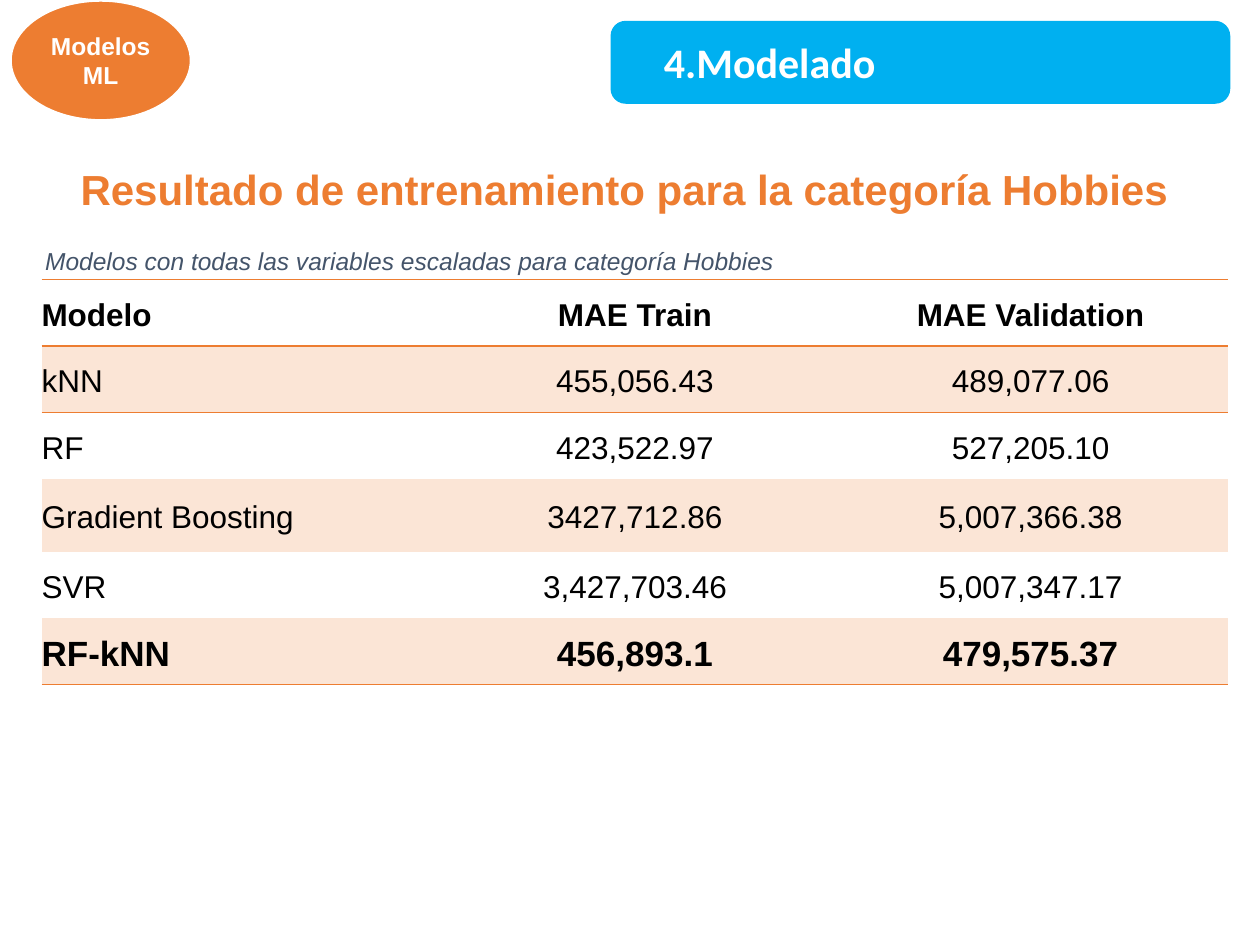
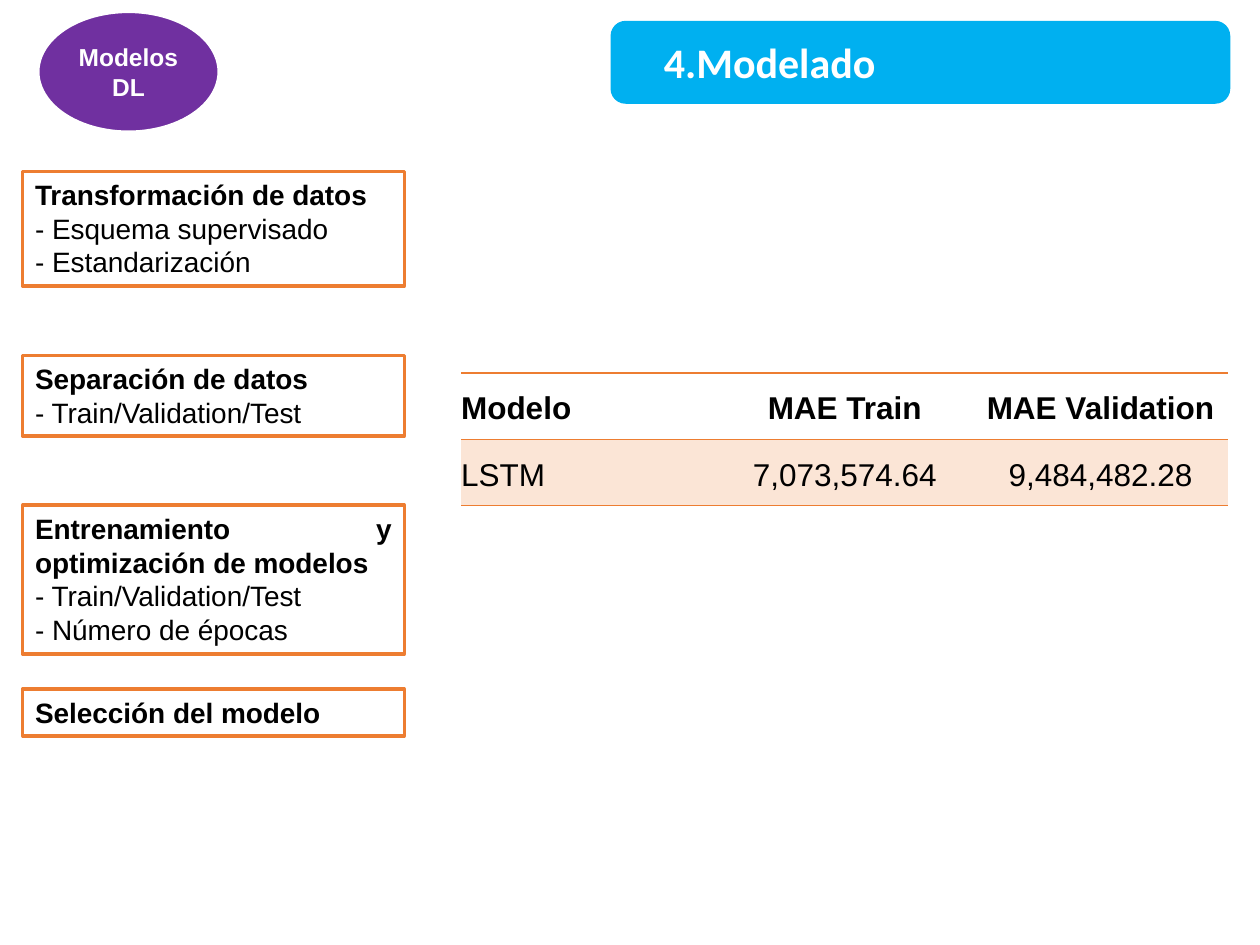
from lxml import etree
from pptx import Presentation
from pptx.dml.color import RGBColor
from pptx.enum.shapes import MSO_SHAPE
from pptx.enum.text import MSO_ANCHOR, PP_ALIGN
from pptx.oxml.ns import qn
from pptx.util import Inches, Pt

OVAL, RECT, ROUNDED = MSO_SHAPE.OVAL, MSO_SHAPE.RECTANGLE, MSO_SHAPE.ROUNDED_RECTANGLE
TOP, MIDDLE = MSO_ANCHOR.TOP, MSO_ANCHOR.MIDDLE
LEFT, CENTER, JUSTIFY = PP_ALIGN.LEFT, PP_ALIGN.CENTER, PP_ALIGN.JUSTIFY

COLORS = {
    "orange": "ED7D31", "peach": "FBE5D6", "purple": "7030A0", "blue": "00B0F0",
    "slate": "44546A", "white": "FFFFFF", "black": "000000",
}
# The slide is a grid of 100 columns by 75 rows
COLUMNS, ROWS, CELL = 100, 75, 0.1
PLAIN_TABLE_STYLE = "{2D5ABB26-0587-4C30-8999-92F81FD0307C}"
HEADERS = ["Modelo", "MAE Train", "MAE Validation"]
TABLE_RIGHT = 97.5

STEPS_LEFT, STEPS_TOP, STEPS_WIDTH = 1.8, 13.6, 30.3
STEP_LINE, STEP_PADDING = 2.7, 1
# Heading, detail lines, number of text lines, gap below in rows
STEPS = [
    ("Transformación de datos", ["- Esquema supervisado", "- Estandarización"], 3, 5.5),
    ("Separación de datos", ["- Train/Validation/Test"], 2, 5.5),
    ("Entrenamiento y optimización de modelos",
     ["- Train/Validation/Test", "- Número de épocas"], 4, 2.8),
    ("Selección del modelo", [], 1, 0),
]


def grid(*cells):
    return [Inches(cell * CELL) for cell in cells]


def color(name):
    return RGBColor.from_string(COLORS[name])


def style(size, tint="black", name="Arial", **extras):
    return {"size": Pt(size), "name": name, "tint": tint, **extras}


def write(frame, lines, align=LEFT, **spacing):
    """Write (text, style) pairs, one paragraph each."""
    for index, (text, look) in enumerate(lines):
        para = frame.add_paragraph() if index else frame.paragraphs[0]
        para.alignment = align
        for key, value in spacing.items():
            setattr(para, key, value)
        span = para.add_run()
        span.text = text
        for key, value in look.items():
            if key == "tint":
                span.font.color.rgb = color(value)
            else:
                setattr(span.font, key, value)


def add_text(page, area, text, look, **layout):
    frame = page.shapes.add_textbox(*grid(*area)).text_frame
    frame.word_wrap = True
    write(frame, [(text, look)], **layout)


def add_box(page, kind, area, fill, line, lines=(), anchor=MIDDLE, align=CENTER, inset=0.5):
    box = page.shapes.add_shape(kind, *grid(*area))
    box.shadow.inherit = False
    box.fill.solid()
    box.fill.fore_color.rgb = color(fill)
    box.line.color.rgb = color(line)
    box.line.width = Pt(2)
    frame = box.text_frame
    frame.word_wrap = True
    frame.vertical_anchor = anchor
    frame.margin_top, frame.margin_bottom = grid(inset, inset)
    write(frame, lines, align)


def add_border(cell, side):
    line = etree.SubElement(cell._tc.get_or_add_tcPr(), qn("a:" + side), w=str(Pt(1)))
    fill = etree.SubElement(line, qn("a:solidFill"))
    etree.SubElement(fill, qn("a:srgbClr"), val=COLORS["orange"])


def fill_cell(cell, text, look, align, sides, shaded):
    cell.margin_left = cell.margin_right = cell.margin_top = cell.margin_bottom = 0
    cell.vertical_anchor = MIDDLE
    write(cell.text_frame, [(text, look)], align, line_spacing=1.15)
    for side in sides:
        add_border(cell, side)
    if shaded:
        cell.fill.solid()
        cell.fill.fore_color.rgb = color("peach")
    else:
        cell.fill.background()


def add_results(page, left, top, models, heights, best=None):
    """Table of errors with every other row shaded and the best model in bold."""
    rows = [HEADERS] + models
    area = grid(left, top, TABLE_RIGHT - left, sum(heights))
    table = page.shapes.add_table(len(rows), len(HEADERS), *area).table
    table._tbl.tblPr.find(qn("a:tableStyleId")).text = PLAIN_TABLE_STYLE
    for row, height in zip(table.rows, grid(*heights)):
        row.height = height
    for r, values in enumerate(rows):
        is_best = values[0] == best
        look = style(20 if is_best else 18, bold=r == 0 or is_best)
        sides = ["lnT", "lnB"] if r == 0 else ["lnT"] if r == 1 else []
        if r == len(rows) - 1:
            sides.append("lnB")
        for c, value in enumerate(values):
            fill_cell(table.cell(r, c), value, look, CENTER if c else JUSTIFY, sides, r % 2)


def add_section_band(page):
    add_box(page, ROUNDED, (48.6, 1.8, 48.9, 6.3), "blue", "blue")
    add_text(page, (51.7, 2.4, 45.2, 5), "4.Modelado",
             style(24, "white", "Calibri", bold=True))


def add_badge(page, left, top, fill, kind):
    look = style(14, "white", bold=True)
    add_box(page, OVAL, (left, top, 14.4, 9.6), fill, "white",
            [("Modelos", look), (kind, look)], inset=1)


def add_steps(page):
    top = STEPS_TOP
    for heading, details, line_count, gap in STEPS:
        height = line_count * STEP_LINE + STEP_PADDING
        lines = [(heading, style(16, bold=True))]
        lines += [(detail, style(16, bold=False)) for detail in details]
        add_box(page, RECT, (STEPS_LEFT, top, STEPS_WIDTH, height), "white", "orange",
                lines, TOP, JUSTIFY)
        top += height + gap


def build_ml_page(page):
    models = [
        ["kNN", "455,056.43", "489,077.06"],
        ["RF", "423,522.97", "527,205.10"],
        ["Gradient Boosting", "3427,712.86", "5,007,366.38"],
        ["SVR", "3,427,703.46", "5,007,347.17"],
        ["RF-kNN", "456,893.1", "479,575.37"],
    ]
    add_results(page, 3.3, 22.2, models, [5.27, 5.27, 5.27, 5.77, 5.27, 5.27], best="RF-kNN")
    add_text(page, (2.6, 18.7, 64.9, 3.5),
             "Modelos con todas las variables escaladas para categoría Hobbies",
             style(14, "slate", italic=True), line_spacing=1.15, space_after=Pt(10))
    add_text(page, (-0.9, 12.5, 100.9, 5),
             "Resultado de entrenamiento para la categoría Hobbies",
             style(24, "orange", bold=True), align=CENTER)
    add_badge(page, 0.8, 0, "orange", "ML")
    add_section_band(page)


def build_dl_page(page):
    add_badge(page, 3, 0.9, "purple", "DL")
    add_steps(page)
    add_results(page, 36.6, 29.6, [["LSTM", "7,073,574.64", "9,484,482.28"]], [5.27, 5.27])
    add_section_band(page)


def main():
    deck = Presentation()
    deck.slide_width, deck.slide_height = grid(COLUMNS, ROWS)
    blank = deck.slide_layouts[6]
    for build in (build_ml_page, build_dl_page):
        build(deck.slides.add_slide(blank))
    deck.save("out.pptx")


if __name__ == "__main__":
    main()
